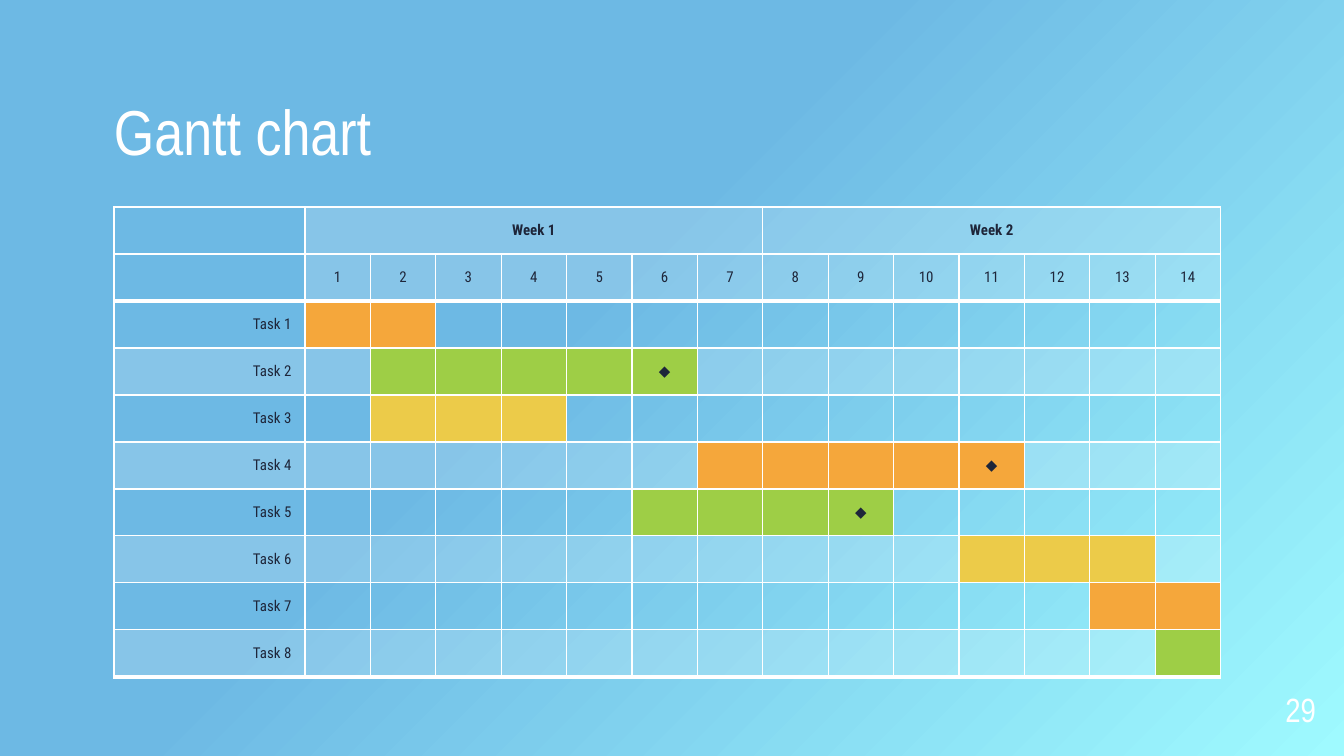
from lxml.etree import SubElement, fromstring
from pptx import Presentation
from pptx.dml.color import RGBColor
from pptx.enum.text import MSO_ANCHOR as Anchor, PP_ALIGN as Align
from pptx.oxml.ns import nsdecls, qn
from pptx.util import Emu, Pt

WHITE = RGBColor(0xFF, 0xFF, 0xFF)
INK = RGBColor(0x1E, 0x26, 0x3A)
ORANGE = RGBColor(0xF5, 0xA7, 0x3B)
GREEN = RGBColor(0x9E, 0xCE, 0x46)
YELLOW = RGBColor(0xEC, 0xCB, 0x49)
SKY = [(0, "9FFAFF"), (58, "6DB9E4"), (100, "6DB9E4")]
BAND_ALPHA = 18
HEADING_FONT, TABLE_FONT = "Arial Narrow", "Roboto Condensed"

# Content: task name, first day, last day, colour, milestone day
TITLE = "Gantt chart"
PAGE = "29"
WEEKS = ["Week 1", "Week 2"]
DAYS_PER_WEEK = 7
TASKS = [
    ("Task 1", 1, 2, ORANGE, None),
    ("Task 2", 2, 6, GREEN, 6),
    ("Task 3", 2, 4, YELLOW, None),
    ("Task 4", 7, 11, ORANGE, 11),
    ("Task 5", 6, 9, GREEN, 9),
    ("Task 6", 11, 13, YELLOW, None),
    ("Task 7", 13, 14, ORANGE, None),
    ("Task 8", 14, 14, GREEN, None),
]
MILESTONE = "◆"

# Layout in px
SLIDE_W, SLIDE_H = 1344, 756
TITLE_BOX = (114, 111, 1116, 58)
PAGE_BOX = (1235, 683, 81, 47)
TABLE_LEFT, TABLE_TOP = 114, 207
LABEL_W, DAYS_W, ROW_H = 191, 916, 47
HEADER_ROWS = 2
THIN, THICK = 0.75, 2.25


def px(length):
    return Emu(round(length * 9144000 / SLIDE_W))


def write(frame, text, *, size, font=TABLE_FONT, color=INK, bold=False,
          align=Align.LEFT, line_spacing=None):
    paragraph = frame.paragraphs[0]
    paragraph.alignment = align
    paragraph.line_spacing = line_spacing
    run = paragraph.add_run()
    run.text = text
    run.font.size, run.font.name, run.font.bold = Pt(size), font, bold
    run.font.color.rgb = color
    return run


def place(box, bounds):
    box.left, box.top, box.width, box.height = map(px, bounds)
    frame = box.text_frame
    frame.margin_left = frame.margin_top = frame.margin_right = frame.margin_bottom = 0
    frame.vertical_anchor = Anchor.BOTTOM
    frame.word_wrap = True
    return frame


def set_border(cell, side, width):
    cell._tc.get_or_add_tcPr().append(fromstring(
        f'<a:ln{side} {nsdecls("a")} w="{Pt(width)}"><a:solidFill>'
        f'<a:srgbClr val="{WHITE}"/></a:solidFill></a:ln{side}>'))


def set_fill(cell, color, alpha=None):
    if color is None:
        cell.fill.background()
        return
    cell.fill.solid()
    cell.fill.fore_color.rgb = color
    if alpha:
        tint = cell._tc.tcPr.find(qn("a:solidFill")).find(qn("a:srgbClr"))
        SubElement(tint, qn("a:alpha"), val=str(alpha * 1000))


def cell_text(row, day):
    """Text, alignment and weight of one table cell; day 0 is the label column."""
    if row == 0:
        starts_week = day % DAYS_PER_WEEK == 1
        return (WEEKS[day // DAYS_PER_WEEK] if starts_week else ""), Align.CENTER, True
    if row == 1:
        return (str(day) if day else ""), Align.CENTER, False
    name, _, _, _, milestone = TASKS[row - HEADER_ROWS]
    if day == 0:
        return name, Align.RIGHT, False
    return (MILESTONE if day == milestone else ""), Align.CENTER, False


def cell_fill(row, day):
    if row >= HEADER_ROWS:
        _, first, last, color, _ = TASKS[row - HEADER_ROWS]
        if first <= day <= last:
            return color, None
    elif day == 0:
        return None, None
    banded = row == 0 or row % 2 == 1
    return (WHITE, BAND_ALPHA) if banded else (None, None)


def cell_borders(row, day, last_row):
    thick_below = row in (HEADER_ROWS - 1, last_row)
    borders = {"L": THIN, "R": THIN,
               "T": THICK if row == HEADER_ROWS else THIN,
               "B": THICK if thick_below else THIN}
    if day == 0 and row < HEADER_ROWS:
        shown = "RB" if thick_below else "R"
        return {side: borders[side] for side in shown}
    return borders


prs = Presentation()
prs.slide_width, prs.slide_height = px(SLIDE_W), px(SLIDE_H)
slide = prs.slides.add_slide(prs.slide_layouts[5])

# Background: gradient spreading from the lower right corner
stops = "".join(f'<a:gs pos="{pos * 1000}"><a:srgbClr val="{color}"/></a:gs>'
                for pos, color in SKY)
slide._element.cSld.insert(0, fromstring(
    f'<p:bg {nsdecls("p", "a")}><p:bgPr><a:gradFill><a:gsLst>{stops}</a:gsLst>'
    '<a:path path="circle"><a:fillToRect l="100000" t="100000"/></a:path>'
    '<a:tileRect r="-100000" b="-100000"/></a:gradFill><a:effectLst/></p:bgPr></p:bg>'))

# Title with a soft shadow
heading = write(place(slide.shapes.title, TITLE_BOX), TITLE, size=34,
                font=HEADING_FONT, color=WHITE, line_spacing=0.9)
heading._r.rPr.find(qn("a:solidFill")).addnext(fromstring(
    f'<a:effectLst {nsdecls("a")}><a:outerShdw blurRad="38100" dist="19050" dir="5400000">'
    '<a:srgbClr val="000000"><a:alpha val="30000"/></a:srgbClr></a:outerShdw></a:effectLst>'))

# Page number
page_box = slide.shapes.add_textbox(0, 0, 0, 0)
write(place(page_box, PAGE_BOX), PAGE, size=18, font=HEADING_FONT, color=WHITE,
      align=Align.RIGHT, line_spacing=0.9)

# Gantt table
day_count = len(WEEKS) * DAYS_PER_WEEK
row_count = HEADER_ROWS + len(TASKS)
gantt = slide.shapes.add_table(
    row_count, day_count + 1, px(TABLE_LEFT), px(TABLE_TOP),
    px(LABEL_W + DAYS_W), px(ROW_H * row_count)).table
gantt.first_row = gantt.horz_banding = False
for day, column in enumerate(gantt.columns):
    column.width = px(DAYS_W / day_count if day else LABEL_W)
for row in gantt.rows:
    row.height = px(ROW_H)

for row in range(row_count):
    for day in range(day_count + 1):
        cell = gantt.cell(row, day)
        cell.vertical_anchor = Anchor.MIDDLE
        text, align, bold = cell_text(row, day)
        if text:
            write(cell.text_frame, text, size=8, align=align, bold=bold)
        else:
            SubElement(cell.text_frame.paragraphs[0]._p, qn("a:endParaRPr"), sz="800")
        borders = cell_borders(row, day, row_count - 1)
        for side in "LRTB":
            if side in borders:
                set_border(cell, side, borders[side])
        set_fill(cell, *cell_fill(row, day))

for week in range(len(WEEKS)):
    first_day = week * DAYS_PER_WEEK + 1
    gantt.cell(0, first_day).merge(gantt.cell(0, first_day + DAYS_PER_WEEK - 1))

prs.save("out.pptx")
